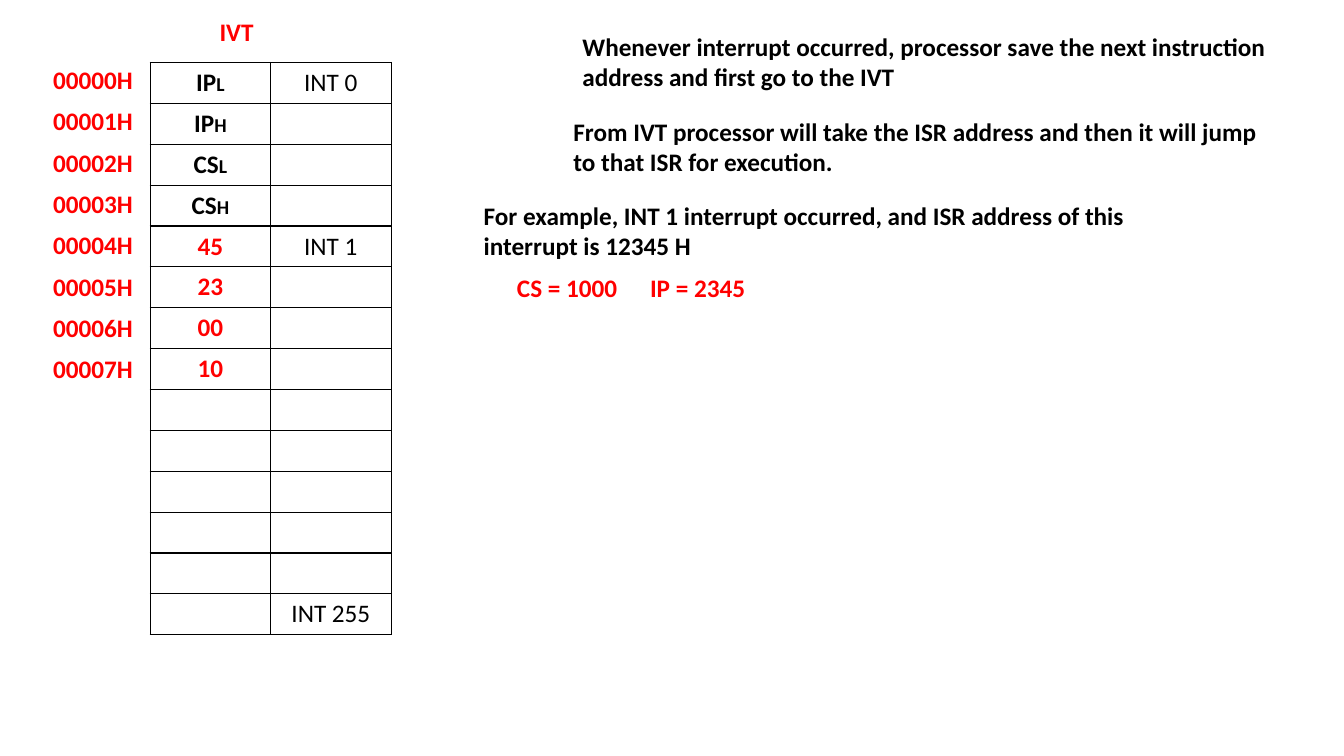
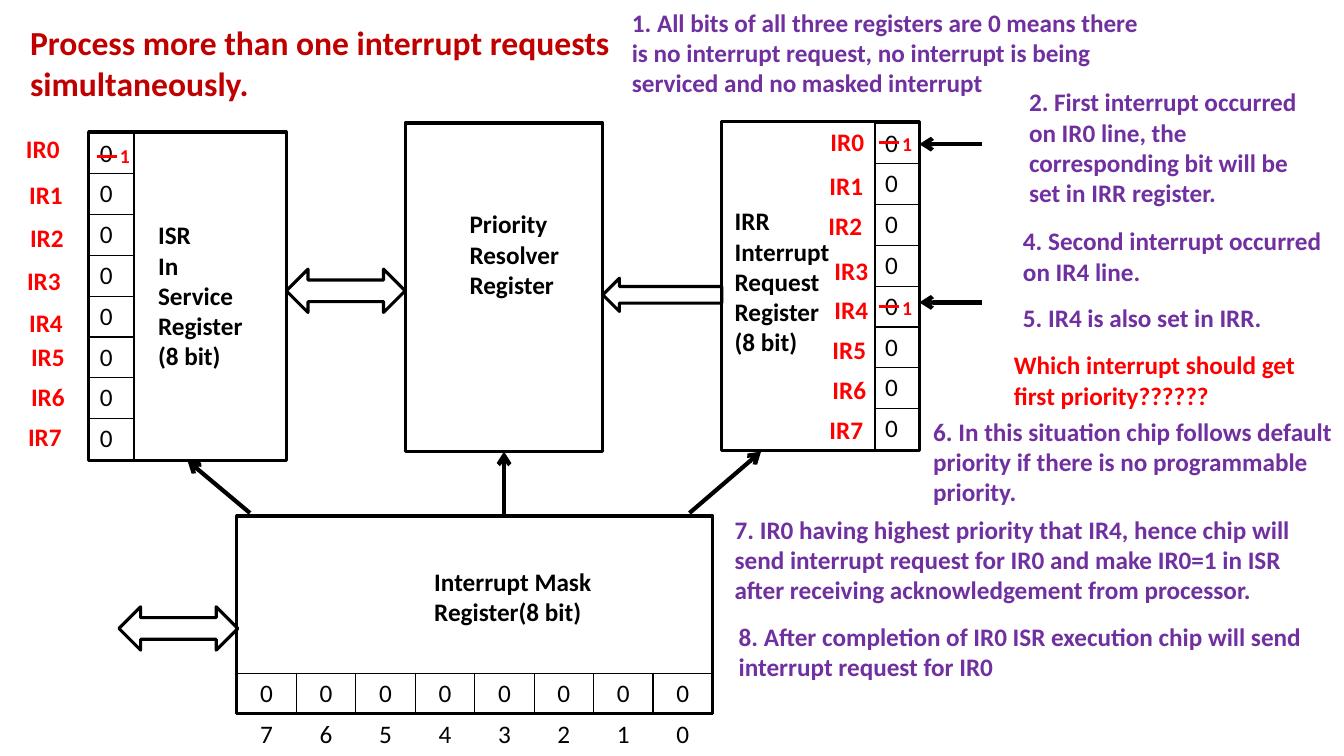
from lxml import etree
from pptx import Presentation, util as u
from pptx.dml import color
from pptx.enum import shapes, text
from pptx.oxml import ns

COLORS = {"ink": "000000", "red": "FF0000", "title": "C00000", "step": "7030A0"}

# Text styles: colour name, then font attributes
STYLES = {
    "title": ("title", {"size": u.Pt(24), "bold": True}),
    "step": ("step", {"size": u.Pt(18), "bold": True}),
    "label": ("red", {"size": u.Pt(18), "bold": True}),
    "new bit": ("red", {"size": u.Pt(14), "bold": True}),
    "strong": ("ink", {"size": u.Pt(18), "bold": True}),
    "suffix": ("ink", {"size": u.Pt(14), "bold": True}),
    "plain": ("ink", {"size": u.Pt(18), "bold": False}),
}
FONT = "Calibri"
COLUMNS, ROWS = 133.33, 75  # the slide grid, ten cells to the inch
CELL = u.Inches(0.1)


def grid(*cells):
    """Turn grid columns or rows into slide lengths."""
    return [u.Emu(round(cell * CELL)) for cell in cells]


class Deck:
    def __init__(self):
        self.show = Presentation()
        self.show.slide_width, self.show.slide_height = grid(COLUMNS, ROWS)
        self.slide = None

    def new_slide(self):
        self.slide = self.show.slides.add_slide(self.show.slide_layouts[6])

    def add_runs(self, paragraph, runs):
        for words, style in runs:
            run = paragraph.add_run()
            run.text = words
            tint, formats = STYLES[style]
            for name, value in {"name": FONT, **formats}.items():
                setattr(run.font, name, value)
            run.font.color.rgb = color.RGBColor.from_string(COLORS[tint])

    def text(self, left, top, width, height, words, style):
        frame = self.slide.shapes.add_textbox(*grid(left, top, width, height)).text_frame
        frame.word_wrap = True
        for number, line in enumerate(words.split("\n")):
            paragraph = frame.add_paragraph() if number else frame.paragraphs[0]
            self.add_runs(paragraph, [(line, style)])

    def outline(self, line, tint, points):
        line.color.rgb = color.RGBColor.from_string(COLORS[tint])
        line.width = u.Pt(points)

    def shape(self, kind, left, top, width, height):
        figure = self.slide.shapes.add_shape(kind, *grid(left, top, width, height))
        figure.shadow.inherit = False
        figure.fill.background()
        self.outline(figure.line, "ink", 2.25)

    def line(self, start, end, tint="ink", points=3, arrow=True):
        link = self.slide.shapes.add_connector(
            shapes.MSO_CONNECTOR.STRAIGHT, *grid(*start, *end))
        self.outline(link.line, tint, points)
        properties = link._element.spPr
        if arrow:
            outline = properties.find(ns.qn("a:ln"))
            etree.SubElement(outline, ns.qn("a:tailEnd"), type="arrow")
        etree.SubElement(properties, ns.qn("a:effectLst"))

    def borders(self, cell, sides):
        properties = cell._tc.get_or_add_tcPr()
        for side in "LRTB":
            edge = etree.SubElement(properties, ns.qn(f"a:ln{side}"), w=str(u.Pt(1)))
            if side in sides:
                fill = etree.SubElement(edge, ns.qn("a:solidFill"))
                etree.SubElement(fill, ns.qn("a:srgbClr"), val=COLORS["ink"])
            else:
                etree.SubElement(edge, ns.qn("a:noFill"))

    def table(self, left, top, width, height, rows, align, open_rows=()):
        """Each cell holds a list of (words, style) runs; open rows keep only their top line."""
        table = self.slide.shapes.add_table(
            len(rows), len(rows[0]), *grid(left, top, width, height)).table
        table.first_row = table.horz_banding = False
        for r, row in enumerate(rows):
            for c, runs in enumerate(row):
                cell = table.cell(r, c)
                self.borders(cell, "T" if r in open_rows else "LRTB")
                cell.fill.background()
                paragraph = cell.text_frame.paragraphs[0]
                paragraph.alignment = align
                self.add_runs(paragraph, runs)

    def register(self, left, top, caption_at, caption):
        self.shape(shapes.MSO_SHAPE.RECTANGLE, left, top, 19.6, 32.6)
        self.text(*caption_at, 13.4, 16.2, caption, "strong")

    def bits(self, left, top):
        self.table(left, top, 4.4, 32.4, [[[("0", "plain")]]] * 8, text.PP_ALIGN.LEFT)

    def request_lines(self, places):
        for number, (left, top) in enumerate(places):
            self.text(left, top, 6.6, 4, f"IR{number}", "label")

    def set_bit(self, left, middle, one_top):
        """Strike out the old 0 and put the new 1 beside it."""
        self.line((left, middle), (left + 2, middle), "red", 2.25, arrow=False)
        self.text(left + 1.3, one_top, 3.5, 3.5, "1", "new bit")


def vector_table_slide(deck):
    deck.new_slide()

    # Interrupt vector table
    vectors = [[(name, "strong"), (half, "suffix")] for name in ("IP", "CS") for half in "LH"]
    vectors += [[(byte, "label")] for byte in ("45", "23", "00", "10")]
    vectors += [[]] * 6
    interrupts = {0: "INT 0", 4: "INT 1", 13: "INT 255"}
    rows = [[vector, [(interrupts[r], "plain")] if r in interrupts else []]
            for r, vector in enumerate(vectors)]
    deck.table(14.9, 6.2, 23.9, 56.8, rows, text.PP_ALIGN.CENTER)
    deck.text(20.8, 1.1, 6.4, 4, "IVT", "label")
    for address in range(8):
        deck.text(4.3, 5.9 + 4.1 * address, 11.3, 4, f"{address:05d}H", "label")

    # Explanation
    for left, top, words in (
        (56.8, 2.6, "Whenever interrupt occurred, processor save the next instruction "
                    "address and first go to the IVT"),
        (55.9, 11, "From IVT processor will take the ISR address and then it will jump "
                   "to that ISR for execution."),
        (47, 19.4, "For example, INT 1 interrupt occurred, and ISR address of this "
                   "interrupt is 12345 H"),
    ):
        deck.text(left, top, 72.1, 7.1, words, "strong")
    deck.text(50.3, 26.5, 13.1, 4, "CS = 1000", "label")
    deck.text(63.5, 26.5, 22.1, 4, "IP = 2345", "label")


def priority_slide(deck):
    deck.new_slide()
    deck.text(2, 1.7, 72, 9.1, "Process more than one interrupt requests simultaneously.", "title")

    # Registers
    deck.register(71.6, 12.1, (71.9, 19.9), "IRR\nInterrupt\nRequest\nRegister\n(8 bit)")
    deck.bits(86.8, 12.2)
    deck.register(8.8, 13.1, (14.7, 21.3), "ISR\nIn\nService\nRegister\n(8 bit)")
    deck.bits(8.9, 13.2)
    deck.register(40.2, 12.2, (45.6, 20.2), "Priority\nResolver\nRegister")

    # Mask register with its bit numbers
    deck.shape(shapes.MSO_SHAPE.RECTANGLE, 23.5, 51.2, 47.2, 19.6)
    deck.text(42.1, 55.7, 24, 7.1, "Interrupt Mask Register(8 bit)", "strong")
    mask = [[[(digit, "plain")] for digit in digits] for digits in ("00000000", "76543210")]
    deck.table(23.5, 66.8, 47.2, 8.1, mask, text.PP_ALIGN.CENTER, open_rows=(1,))

    # Links between the registers
    deck.shape(shapes.MSO_SHAPE.LEFT_ARROW, 59.8, 27.6, 11.8, 3.3)
    for left, top in ((28.4, 26.7), (11.8, 60.2)):
        deck.shape(shapes.MSO_SHAPE.LEFT_RIGHT_ARROW, left, top, 11.8, 4.3)
    for start, end in (
        ((24.8, 50.9), (18.6, 45.7)),
        ((50, 51.2), (50, 44.8)),
        ((68.4, 50.9), (75.5, 44.8)),
        ((97.4, 14.3), (91.2, 14.3)),
        ((97.4, 30), (91.2, 30)),
    ):
        deck.line(start, end)

    # Request lines and the bits they set
    deck.request_lines([(81.4, 12), (81.3, 16.4), (81.2, 20.4), (81.8, 24.8),
                        (81.8, 28.7), (81.6, 32.7), (81.6, 36.6), (81.3, 40.6)])
    deck.request_lines([(1.6, 12.7), (1.9, 17.3), (2, 21.6), (1.7, 25.8),
                        (1.9, 30), (2.1, 33.4), (2.1, 37.3), (1.8, 41.3)])
    for left, middle, one_top in ((87.2, 14.1, 12.6), (87.2, 30.4, 28.9), (9.6, 15.5, 13.8)):
        deck.set_bit(left, middle, one_top)

    # Steps
    for left, top, width, height, words in (
        (61.7, 0.2, 53, 10.1, "1. All bits of all three registers are 0 means there is no interrupt "
                              "request, no interrupt is being serviced and no masked interrupt"),
        (101.1, 8.1, 30.2, 13.1, "2. First interrupt occurred on IR0 line, the corresponding bit "
                                 "will be set in IRR register."),
        (100.5, 21.9, 32.5, 7.1, "4. Second interrupt occurred on IR4 line."),
        (100.5, 29.5, 30.2, 4, "5. IR4 is also set in IRR."),
        (91.6, 40.8, 41.7, 10.1, "6. In this situation chip follows default priority if there is "
                                 "no programmable priority."),
        (71.9, 50.5, 61.4, 10.1, "7. IR0 having highest priority that IR4, hence chip will send "
                                 "interrupt request for IR0 and make IR0=1 in ISR after receiving "
                                 "acknowledgement from processor."),
        (72.3, 61.1, 61, 7.1, "8. After completion of IR0 ISR execution chip will send "
                              "interrupt request for IR0"),
    ):
        deck.text(left, top, width, height, words, "step")
    deck.text(99.6, 34.2, 30.2, 7.1, "Which interrupt should get first priority??????", "label")


def main():
    deck = Deck()
    vector_table_slide(deck)
    priority_slide(deck)
    deck.show.save("out.pptx")


if __name__ == "__main__":
    main()
